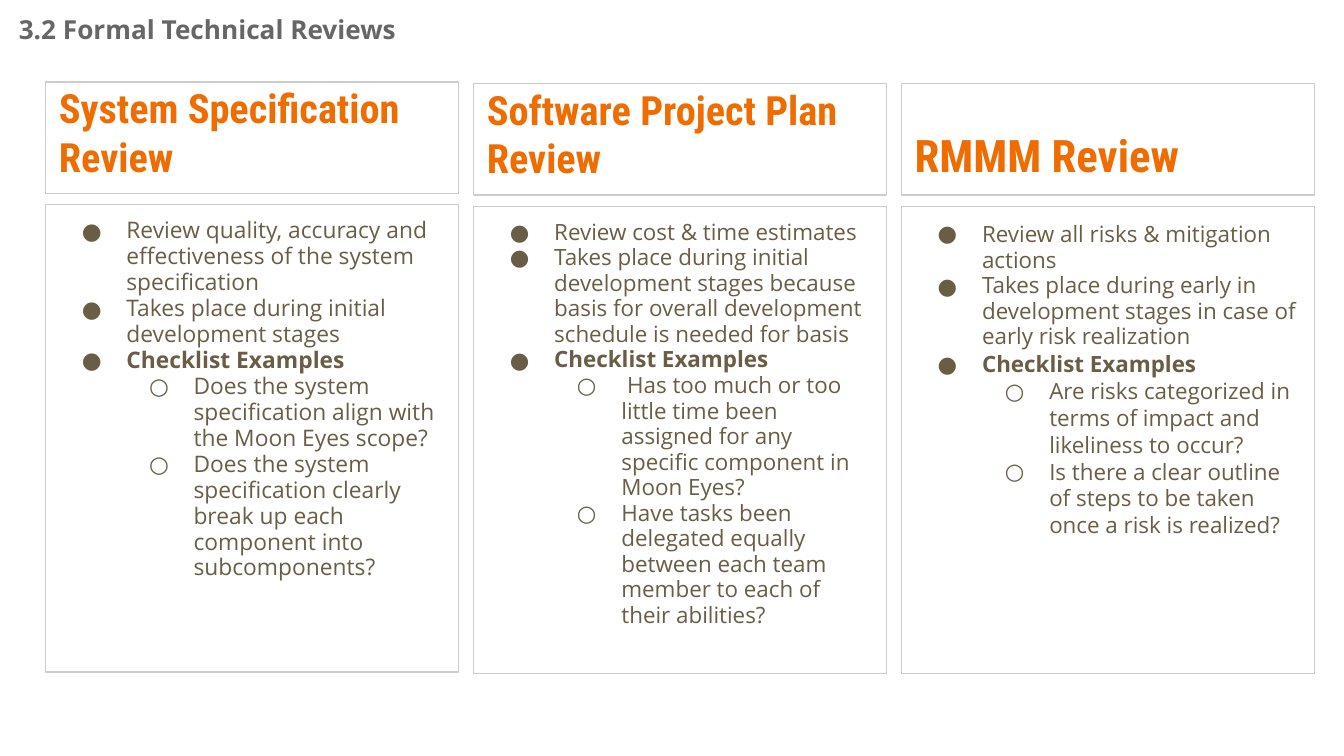
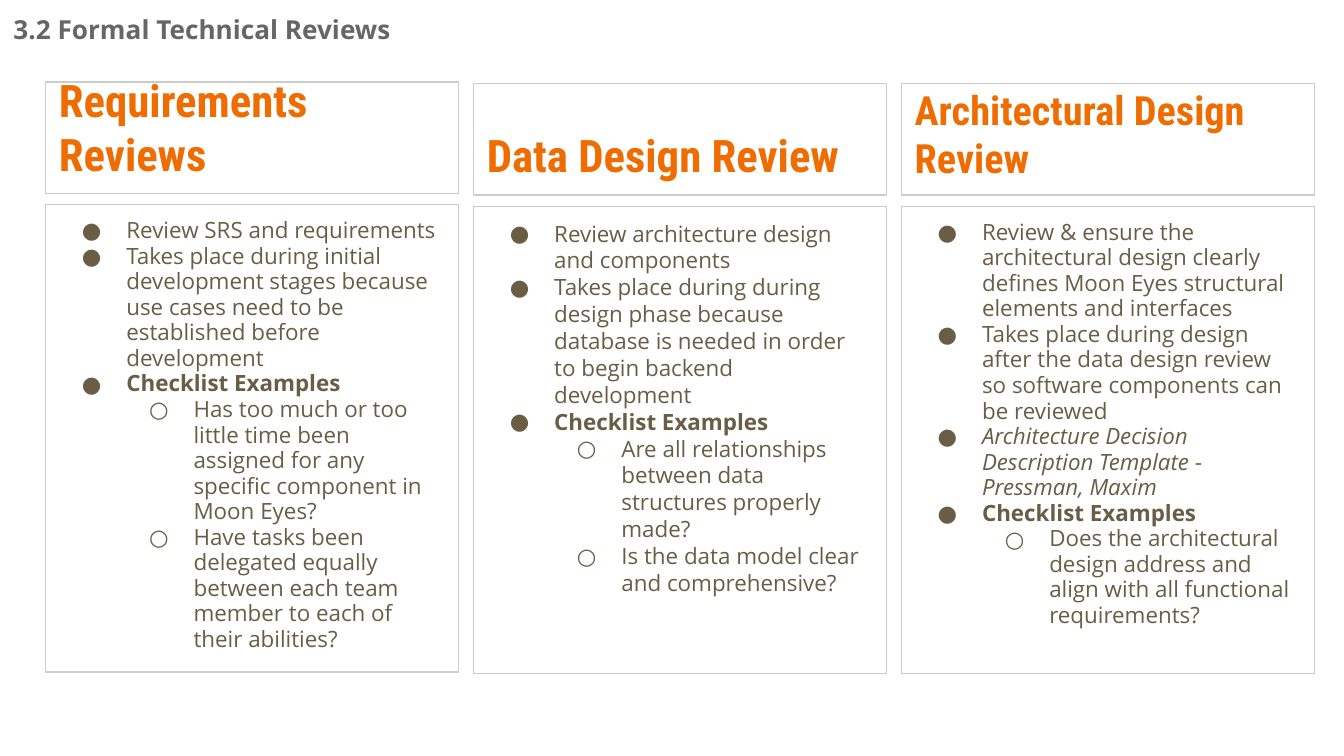
"""Build two slides of formal technical review cards."""
from dataclasses import dataclass

from lxml.etree import SubElement
from pptx import Presentation
from pptx.dml.color import RGBColor
from pptx.enum.text import MSO_ANCHOR, MSO_AUTO_SIZE, PP_ALIGN
from pptx.oxml.ns import qn
from pptx.shapes.base import BaseShape
from pptx.slide import Slide
from pptx.text.text import TextFrame, _Paragraph
from pptx.util import Pt


@dataclass(frozen=True)
class Theme:
    """Hold the colours, fonts and type sizes."""
    head: str = "EF6C00"
    body: str = "695D46"
    title: str = "666666"
    edge: str = "CCCCCC"
    sans: str = "Open Sans"
    narrow: str = "Roboto Condensed"
    title_size: float = 14
    body_size: float = 12


@dataclass(frozen=True)
class Item:
    """Describe one bullet, with its runs split at bars."""
    text: str
    level: int = 0
    bold: bool = False
    slant: bool = False
    tight: bool = True


@dataclass(frozen=True)
class Card:
    """Describe one review column."""
    head: str
    size: float
    items: tuple[Item, ...]
    body_size: float = 12


@dataclass(frozen=True)
class Page:
    """Describe one slide and the box of its title."""
    left: float
    width: float
    height: float
    cards: tuple[Card, ...]


THEME = Theme()
TITLE = "3.2 Formal Technical Reviews"
CHECK = "Checklist Examples"
TIME = "Has too much or too little time been assigned for any specific component in Moon Eyes?"
TASKS = "Have tasks been delegated equally between each team member to each of their abilities?"
LEFT, STEP, WIDTH = 24.5, 229.2, 221.2
HEAD_TOP, HEAD_TALL = 43.9, 59.8
BODY_TOP, BODY_TALL = 109.7, 250.4
DROP = 0.8
BULLETS = "●○"

PAGES = (
    Page(2.9, 265, 23, (
        Card("System Specification Review", 21.6, (
            Item("Review quality, accuracy and effectiveness of the system specification"),
            Item("Takes place during initial development stages"),
            Item(CHECK, bold=True),
            Item("Does the system specification align with the Moon Eyes scope?", 1),
            Item("Does the system specification clearly break up each component "
                 "into subcomponents?", 1),
        ), 12.2),
        Card("Software Project Plan Review", 21.6, (
            Item("Review cost & time estimates"),
            Item("Takes place during initial development stages because basis for "
                 "overall development schedule is needed for basis"),
            Item(CHECK, bold=True),
            Item(" " + TIME, 1),
            Item(TASKS, 1),
        )),
        Card("RMMM Review", 24, (
            Item("Review all risks & mitigation actions", tight=False),
            Item("Takes place during early in development stages in case of early "
                 "risk realization"),
            Item(CHECK, bold=True, tight=False),
            Item("Are risks categorized in terms of impact and likeliness to occur?",
                 1, tight=False),
            Item("Is there a clear outline of steps to be taken once a risk is realized?",
                 1, tight=False),
        )),
    )),
    Page(0, 236.2, 31.7, (
        Card("Requirements Reviews", 24, (
            Item("Review SRS and requirements"),
            Item("Takes place during initial development stages because use cases "
                 "need to be established before development"),
            Item(CHECK, bold=True),
            Item(TIME, 1),
            Item(TASKS, 1),
        )),
        Card("Data Design Review", 24, (
            Item("Review architecture design and components", tight=False),
            Item("Takes place during during design phase because database is needed "
                 "in order to begin backend development", tight=False),
            Item(CHECK, bold=True, tight=False),
            Item("Are all relationships between data structures properly made?",
                 1, tight=False),
            Item("Is the data model clear and comprehensive?", 1, tight=False),
        )),
        Card("Architectural Design Review", 21.6, (
            Item("Review & ensure the architectural design clearly defines Moon Eyes "
                 "structural elements and interfaces"),
            Item("Takes place during design after the data design review so software "
                 "components can be reviewed"),
            Item("Architecture Decision Description Template| - |Pressman, Maxim",
                 slant=True),
            Item(CHECK, bold=True),
            Item("Does the architectural design address and align with all "
                 "functional requirements?", 1),
        )),
    )),
)


def place(shape: BaseShape, left: float, top: float, width: float, height: float) -> None:
    """Move and size a shape in points."""
    shape.left, shape.top = Pt(left), Pt(top)
    shape.width, shape.height = Pt(width), Pt(height)


def edge(shape: BaseShape) -> None:
    """Give a shape the thin card border."""
    shape.line.color.rgb = RGBColor.from_string(THEME.edge)
    shape.line.width = Pt(0.75)


def setup(frame: TextFrame, anchor: MSO_ANCHOR) -> None:
    """Set the wrapping, margins and anchor of a frame."""
    frame.word_wrap = True
    frame.auto_size = MSO_AUTO_SIZE.NONE
    frame.vertical_anchor = anchor
    frame.margin_left = frame.margin_right = Pt(7.2)
    frame.margin_top = frame.margin_bottom = Pt(7.2)


def style(para: _Paragraph, font: str, size: float, color: str, bold: bool) -> None:
    """Format a paragraph and all its runs."""
    para.alignment = PP_ALIGN.LEFT
    para.space_before = para.space_after = Pt(0)
    for run in para.runs:
        run.font.name, run.font.size, run.font.bold = font, Pt(size), bold
        run.font.color.rgb = RGBColor.from_string(color)


def bullet(para: _Paragraph, level: int) -> None:
    """Set the indent and the bullet of a list level."""
    para.level = level
    props = para._p.get_or_add_pPr()
    props.set("marL", str(Pt(36 * (level + 1))))
    props.set("indent", str(Pt(-23.8)))
    color = SubElement(props, qn("a:buClr"))
    SubElement(color, qn("a:srgbClr"), val=THEME.body)
    SubElement(props, qn("a:buFont"), typeface=THEME.sans)
    SubElement(props, qn("a:buChar"), char=BULLETS[level])


def fill(frame: TextFrame, card: Card) -> None:
    """Write the bullets of a card."""
    frame.text = "\n".join(item.text.replace("|", "") for item in card.items)
    for para, item in zip(frame.paragraphs, card.items):
        parts = item.text.split("|")
        if len(parts) > 1:
            para.text = ""
            for part in parts:
                para.add_run().text = part
        style(para, THEME.sans, card.body_size, THEME.body, item.bold)
        for spot, run in enumerate(para.runs):
            run.font.italic = item.slant and spot % 2 == 0
        para.line_spacing = 0.95 if item.tight else 1.0
        bullet(para, item.level)


def draw(slide: Slide, page: Page) -> None:
    """Draw the title and the cards of a page."""
    title, *bodies = slide.placeholders
    place(title, page.left, 0, page.width, page.height)
    title.text_frame.text = TITLE
    setup(title.text_frame, MSO_ANCHOR.TOP)
    style(title.text_frame.paragraphs[0], THEME.sans, THEME.title_size, THEME.title, True)
    for col, card in enumerate(page.cards):
        left, drop = LEFT + col * STEP, DROP if col else 0
        head = slide.shapes.add_textbox(0, 0, 0, 0)
        place(head, left, HEAD_TOP + drop, WIDTH, HEAD_TALL)
        edge(head)
        head.text_frame.text = card.head
        setup(head.text_frame, MSO_ANCHOR.BOTTOM)
        style(head.text_frame.paragraphs[0], THEME.narrow, card.size, THEME.head, True)
        body = bodies[col]
        place(body, left, BODY_TOP + drop, WIDTH, BODY_TALL)
        edge(body)
        setup(body.text_frame, MSO_ANCHOR.TOP)
        fill(body.text_frame, card)
    for spare in bodies[len(page.cards):]:
        spare.element.getparent().remove(spare.element)


def main() -> None:
    """Build and save the deck."""
    deck = Presentation()
    deck.slide_width, deck.slide_height = Pt(720), Pt(405)
    for page in PAGES:
        draw(deck.slides.add_slide(deck.slide_layouts[4]), page)
    deck.save("out.pptx")


if __name__ == "__main__":
    main()
